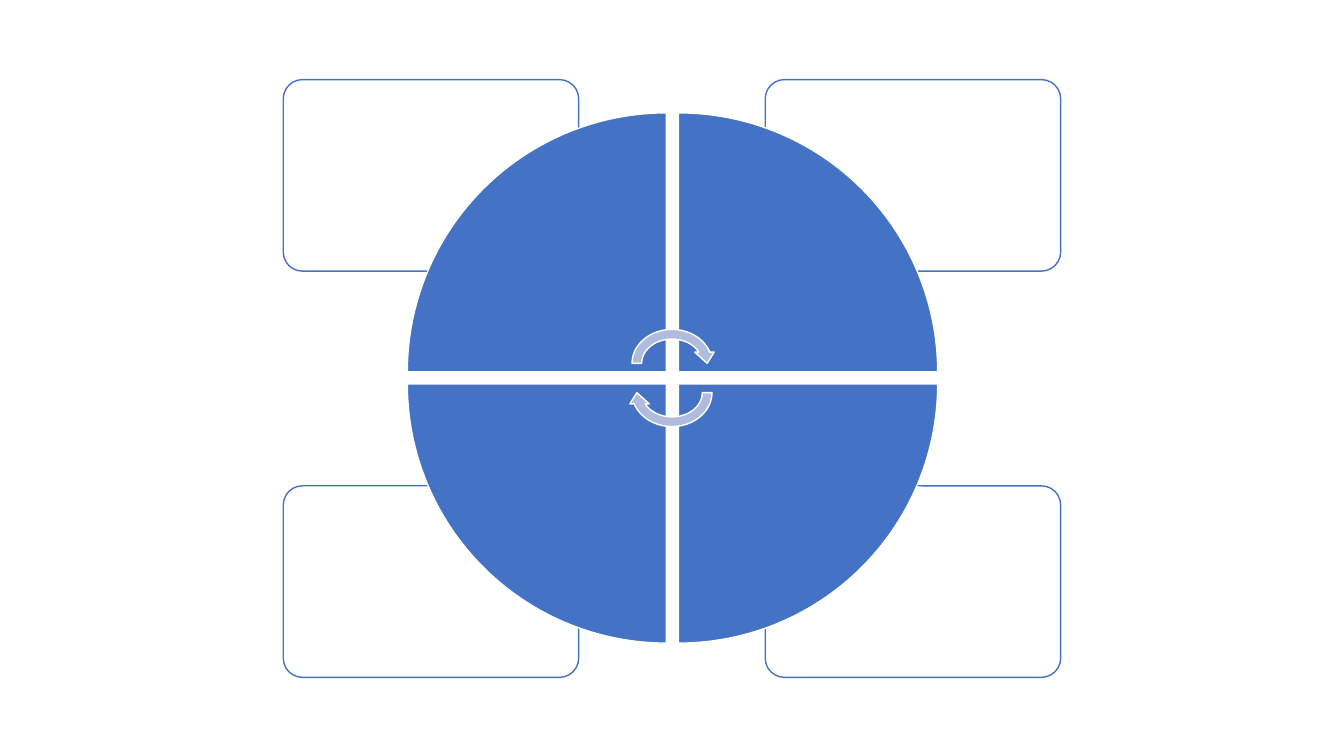
from itertools import product
from lxml.etree import SubElement
from pptx import Presentation
from pptx.dml.color import RGBColor
from pptx.enum.shapes import MSO_SHAPE
from pptx.oxml.ns import qn
from pptx.util import Inches, Pt


def color(value):
    return RGBColor.from_string(value)


def add_figure(kind, left, top, width, height, fill, line, rotation=0):
    figure = page.shapes.add_shape(
        kind, Inches(left), Inches(top), Inches(width), Inches(height))
    figure.shadow.inherit = False
    figure.fill.solid()
    figure.fill.fore_color.rgb = color(fill)
    figure.line.color.rgb = color(line)
    figure.line.width = Pt(1)
    figure.rotation = rotation
    return figure


BLUE = "4472C4"
WHITE = "FFFFFF"
PALE_BLUE = "B0BCDE"

deck = Presentation()
deck.slide_width = Inches(13.33)
deck.slide_height = Inches(7.5)
page = deck.slides.add_slide(deck.slide_layouts[6])

for top, left in product((4.82, 0.79), (7.59, 2.81)):
    card = add_figure(MSO_SHAPE.ROUNDED_RECTANGLE, left, top, 2.93, 1.9, WHITE, BLUE)
    card.adjustments[0] = 0.1
    fill_color = card.fill._xPr.find(qn("a:solidFill"))[0]
    SubElement(fill_color, qn("a:alpha"), val="90000")

wedge_size = 2.57
wedge_step = 2.69
clockwise_cells = [(0, 0), (1, 0), (1, 1), (0, 1)]
for turn, (column, row) in enumerate(clockwise_cells):
    add_figure(MSO_SHAPE.PIE_WEDGE, 4.04 + column * wedge_step, 1.12 + row * wedge_step,
               wedge_size, wedge_size, BLUE, WHITE, 90 * turn)

for top, rotation in ((3.22, 0), (3.51, 180)):
    add_figure(MSO_SHAPE.CIRCULAR_ARROW, 6.22, top, 0.89, 0.77, PALE_BLUE, WHITE, rotation)

deck.save("out.pptx")
